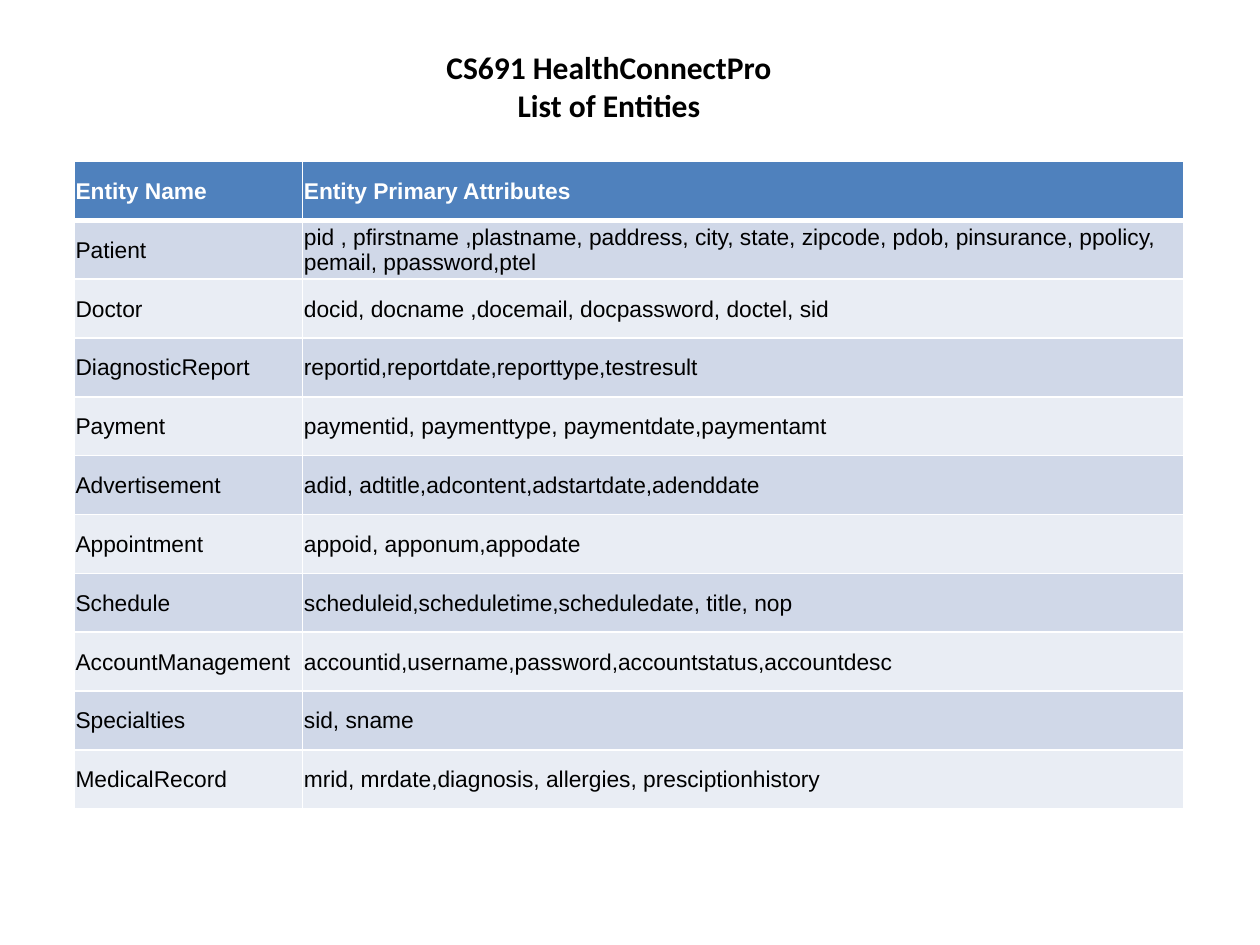
from dataclasses import dataclass

from lxml import etree
from pptx import Presentation
from pptx.dml.color import RGBColor
from pptx.enum import text
from pptx.oxml import ns
from pptx.util import Pt

COLORS = {
    "header": "4F81BD",
    "odd": "D0D8E8",
    "even": "E9EDF4",
    "border": "FFFFFF",
    "heading": "FFFFFF",
    "ink": "000000",
}
TABLE_LEFT, TABLE_TOP = 42.5, 92.3
COLUMN_WIDTHS = (130.5, 503.5)
ROW_HEIGHT = 33.64
CELL_INSET = 0.72
THIN, THICK = 1, 3


@dataclass(frozen=True)
class Entity:
    name: str
    attributes: str


HEADING = Entity("Entity Name", "Entity Primary Attributes")
ENTITIES = (
    Entity(
        "Patient",
        "pid , pfirstname ,plastname, paddress, city, state, zipcode, pdob, "
        "pinsurance, ppolicy, pemail, ppassword,ptel",
    ),
    Entity("Doctor", "docid, docname ,docemail, docpassword, doctel, sid"),
    Entity("DiagnosticReport", "reportid,reportdate,reporttype,testresult"),
    Entity("Payment", "paymentid, paymenttype, paymentdate,paymentamt"),
    Entity("Advertisement", "adid, adtitle,adcontent,adstartdate,adenddate"),
    Entity("Appointment", "appoid, apponum,appodate"),
    Entity("Schedule", "scheduleid,scheduletime,scheduledate, title, nop"),
    Entity("AccountManagement", "accountid,username,password,accountstatus,accountdesc"),
    Entity("Specialties", "sid, sname"),
    Entity("MedicalRecord", "mrid, mrdate,diagnosis, allergies, presciptionhistory"),
)


def style_font(paragraph, face: str, size: float, color: str, bold: bool) -> None:
    font = paragraph.font
    font.name, font.size, font.bold = face, Pt(size), bold
    font.color.rgb = RGBColor.from_string(COLORS[color])


def add_border(cell, side: str, width: float) -> None:
    properties = cell._tc.get_or_add_tcPr()
    line = etree.SubElement(properties, ns.qn(f"a:ln{side}"), w=str(Pt(width)))
    fill = etree.SubElement(line, ns.qn("a:solidFill"))
    etree.SubElement(fill, ns.qn("a:srgbClr"), val=COLORS["border"])


def fill_cell(cell, content: str, row: int) -> None:
    is_header = row == 0
    widths = {
        "L": THIN,
        "R": THIN,
        "T": THICK if row == 1 else THIN,
        "B": THICK if is_header else THIN,
    }
    for side, width in widths.items():
        add_border(cell, side, width)
    band = "header" if is_header else "odd" if row % 2 else "even"
    cell.fill.solid()
    cell.fill.fore_color.rgb = RGBColor.from_string(COLORS[band])
    cell.margin_left = cell.margin_right = cell.margin_top = Pt(CELL_INSET)
    cell.margin_bottom = 0
    cell.vertical_anchor = text.MSO_ANCHOR.MIDDLE
    cell.text = content
    ink = "heading" if is_header else "ink"
    style_font(cell.text_frame.paragraphs[0], "Arial", 13, ink, is_header)


def add_title(slide, content: str) -> None:
    title = slide.shapes.add_textbox(Pt(234), Pt(24), Pt(228), Pt(51)).text_frame
    title.word_wrap = True
    title.text = content
    for paragraph in title.paragraphs:
        paragraph.alignment = text.PP_ALIGN.CENTER
        style_font(paragraph, "Calibri", 18, "ink", True)


def add_entity_table(slide, entities: tuple[Entity, ...]) -> None:
    rows = (HEADING, *entities)
    table = slide.shapes.add_table(
        len(rows), len(COLUMN_WIDTHS), Pt(TABLE_LEFT), Pt(TABLE_TOP),
        Pt(sum(COLUMN_WIDTHS)), Pt(ROW_HEIGHT * len(rows)),
    ).table
    for column, width in zip(table.columns, COLUMN_WIDTHS):
        column.width = Pt(width)
    for index, entity in enumerate(rows):
        table.rows[index].height = Pt(ROW_HEIGHT)
        fill_cell(table.cell(index, 0), entity.name, index)
        fill_cell(table.cell(index, 1), entity.attributes, index)


def main() -> None:
    """Build the slide that lists the entities and their primary attributes."""
    deck = Presentation()
    deck.slide_width, deck.slide_height = Pt(720), Pt(540)
    slide = deck.slides.add_slide(deck.slide_layouts[6])
    add_title(slide, "CS691 HealthConnectPro\nList of Entities")
    add_entity_table(slide, ENTITIES)
    deck.save("out.pptx")


if __name__ == "__main__":
    main()
